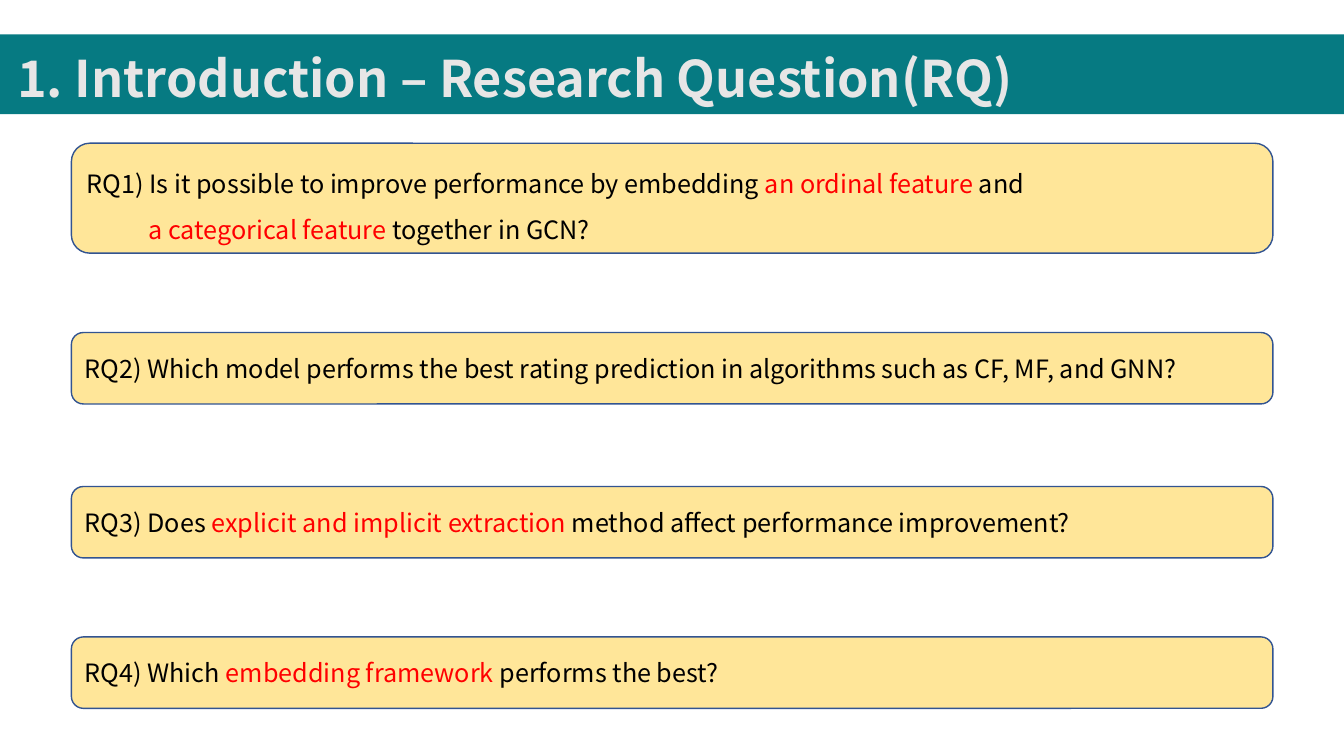
from pptx import Presentation
from pptx.dml.color import RGBColor
from pptx.enum.shapes import MSO_SHAPE
from pptx.enum.text import MSO_ANCHOR, MSO_AUTO_SIZE, PP_ALIGN
from pptx.util import Cm, Pt

RECTANGLE, ROUNDED = MSO_SHAPE.RECTANGLE, MSO_SHAPE.ROUNDED_RECTANGLE
TOP, MIDDLE = MSO_ANCHOR.TOP, MSO_ANCHOR.MIDDLE
LEFT = PP_ALIGN.LEFT
NO_AUTOFIT = MSO_AUTO_SIZE.NONE

FONT = "Noto Sans CJK KR"
TITLE_ONLY = 5
COLORS = {
    "banner": "067A82",
    "title": "E7E6E6",
    "card": "FFE699",
    "outline": "325491",
    "text": "000000",
    "key": "FF0000",
}
SLIDE_WIDTH, SLIDE_HEIGHT = 33.87, 19.05
CARD_LEFT, CARD_WIDTH = 1.8, 30.28
HANGING_INDENT = 1.56

# Each question: top, height, anchor, line spacing, lines of (text, color) runs
QUESTIONS = [
    (3.61, 2.77, TOP, 1.5, [
        [("RQ1) Is it possible to improve performance by embedding ", "text"),
         ("an ordinal feature ", "key"), ("and", "text")],
        [("a categorical feature ", "key"), ("together in GCN?", "text")],
    ]),
    (8.38, 1.8, MIDDLE, 1.0, [
        [("RQ2) Which model performs the best rating prediction in "
          "algorithms such as CF, MF, and GNN?", "text")],
    ]),
    (12.26, 1.8, MIDDLE, 1.0, [
        [("RQ3) Does ", "text"), ("explicit and implicit extraction", "key"),
         (" method affect performance improvement?", "text")],
    ]),
    (16.05, 1.8, MIDDLE, 1.0, [
        [("RQ4) Which ", "text"), ("embedding framework", "key"),
         (" performs the best?", "text")],
    ]),
]


def rgb(name):
    return RGBColor.from_string(COLORS[name])


def write_text(shape, lines, size, bold=False, anchor=MIDDLE, spacing=1.0):
    """Fill a shape with lines of (text, color) runs; later lines are indented."""
    frame = shape.text_frame
    frame.word_wrap = True
    frame.auto_size = NO_AUTOFIT
    frame.vertical_anchor = anchor
    for number, line in enumerate(lines):
        paragraph = frame.add_paragraph() if number else frame.paragraphs[0]
        paragraph.alignment = LEFT
        paragraph.line_spacing = spacing
        if number:
            paragraph._p.get_or_add_pPr().set("marL", str(Cm(HANGING_INDENT)))
        for text, color in line:
            run = paragraph.add_run()
            run.text = text
            run.font.name = FONT
            run.font.size = Pt(size)
            run.font.bold = bold
            run.font.color.rgb = rgb(color)


def add_panel(slide, kind, left, top, width, height, fill, outline=None):
    panel = slide.shapes.add_shape(kind, Cm(left), Cm(top), Cm(width), Cm(height))
    panel.shadow.inherit = False
    panel.fill.solid()
    panel.fill.fore_color.rgb = rgb(fill)
    if outline:
        panel.line.color.rgb = rgb(outline)
        panel.line.width = Pt(1)
    else:
        panel.line.fill.background()
    return panel


def add_header(slide, text, top, width, height):
    banner = add_panel(slide, RECTANGLE, 0, top, width, height, "banner")
    title = slide.shapes.title
    title.element.addprevious(banner.element)  # keeps the title in front
    title.left, title.top = Cm(0.18), Cm(top - 0.48)
    title.width, title.height = Cm(width - 0.18), Cm(height + 0.33)
    write_text(title, [[(text, "title")]], size=36, bold=True, spacing=1.5)


def add_question(slide, top, height, anchor, spacing, lines):
    card = add_panel(slide, ROUNDED, CARD_LEFT, top, CARD_WIDTH, height,
                     "card", "outline")
    write_text(card, lines, size=18, anchor=anchor, spacing=spacing)


def main():
    presentation = Presentation()
    presentation.slide_width = Cm(SLIDE_WIDTH)
    presentation.slide_height = Cm(SLIDE_HEIGHT)
    slide = presentation.slides.add_slide(presentation.slide_layouts[TITLE_ONLY])
    add_header(slide, "1. Introduction – Research Question(RQ)",
               0.87, SLIDE_WIDTH, 2.01)
    for question in QUESTIONS:
        add_question(slide, *question)
    presentation.save("out.pptx")


if __name__ == "__main__":
    main()
